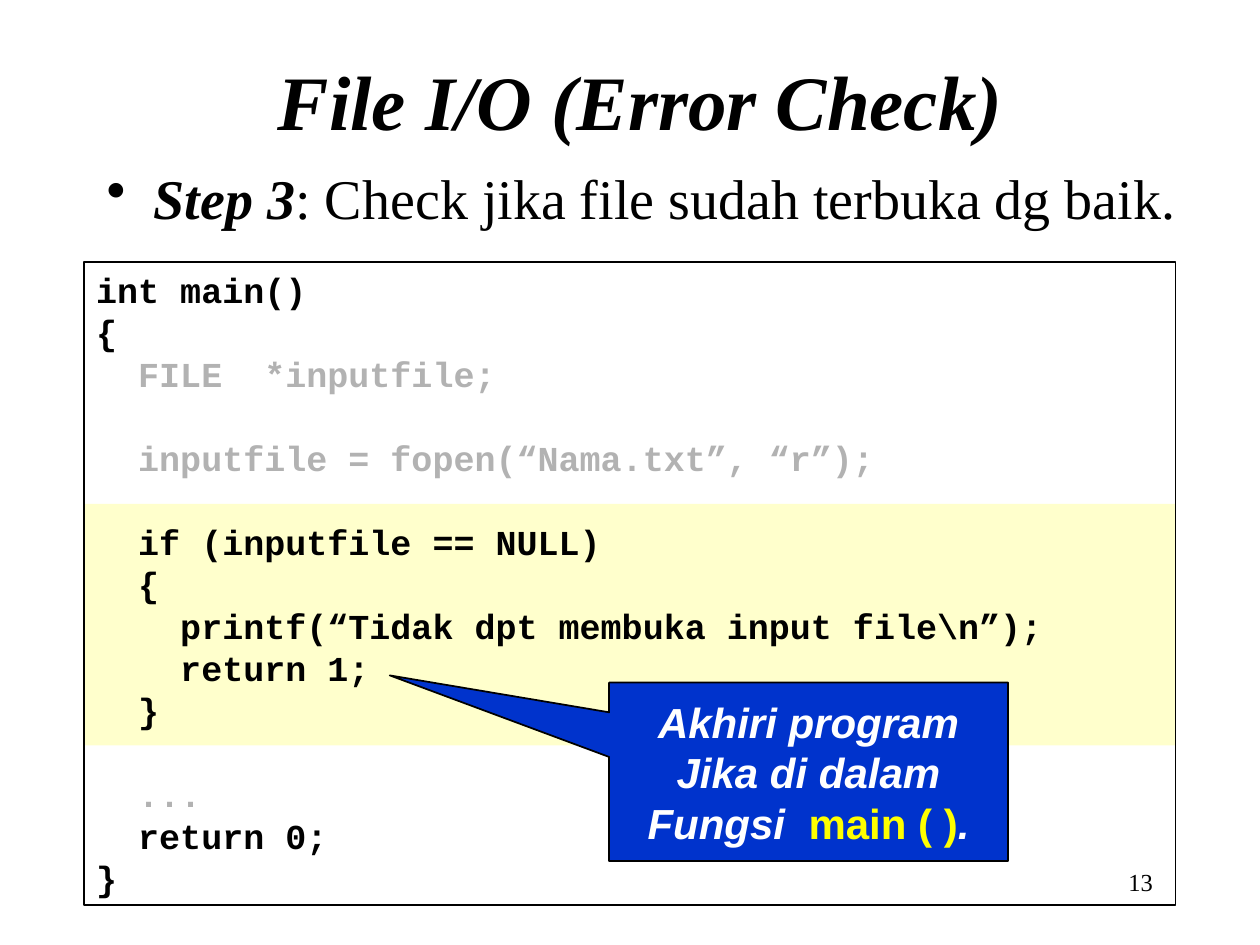
from pptx import Presentation
from pptx.dml.color import RGBColor
from pptx.enum.shapes import MSO_SHAPE
from pptx.enum.text import MSO_ANCHOR, PP_ALIGN
from pptx.oxml import parse_xml
from pptx.oxml.ns import nsdecls
from pptx.util import Cm, Pt

LEFT, CENTER, RIGHT = PP_ALIGN.LEFT, PP_ALIGN.CENTER, PP_ALIGN.RIGHT
TOP, MIDDLE = MSO_ANCHOR.TOP, MSO_ANCHOR.MIDDLE
RECTANGLE, CALLOUT = MSO_SHAPE.RECTANGLE, MSO_SHAPE.RECTANGULAR_CALLOUT

# Content: each line is a list of (text, style) spans
TITLE = [[("File I/O (Error Check)", "title")]]
STEP = [[("Step 3", "step"), (": Check jika file sudah terbuka dg baik.", "body")]]
CODE = [
    [("int main()", "code")],
    [("{", "code")],
    [("  FILE  *inputfile;", "dim_code")],
    [("", "code")],
    [("  inputfile = fopen(“Nama.txt”, “r”);", "dim_code")],
    [("  ", "code")],
    [("  if (inputfile == NULL)", "code")],
    [("  {", "code")],
    [("    printf(“Tidak dpt membuka input file\\n”);", "code")],
    [("    return 1;", "code")],
    [("  }", "code")],
    [("", "code")],
    [("  ...", "dim_code")],
    [("  return 0;", "code")],
    [("}", "code")],
]
NOTE = [
    [("Akhiri program", "note")],
    [("Jika di dalam", "note")],
    [("Fungsi  ", "note"), ("main ( )", "note_code"), (".", "note")],
]
NUMBER = [[("13", "number")]]

# Theme: colours and type
SERIF, MONO, SANS = "Times New Roman", "Courier New", "Arial"
THEME = {
    "colours": {"ink": "000000", "dim": "B2B2B2", "band": "FFFFCC",
                "blue": "0033CC", "white": "FFFFFF", "yellow": "FFFF00"},
    "line_pitch": 1.2,
    "styles": {  # font, size, colour, bold, italic
        "title": (SERIF, 44, "ink", True, True),
        "step": (SERIF, 32, "ink", True, True),
        "body": (SERIF, 32, "ink", False, False),
        "code": (MONO, 20, "ink", True, False),
        "dim_code": (MONO, 20, "dim", True, False),
        "note": (SANS, 24, "white", True, True),
        "note_code": (SANS, 24, "yellow", True, False),
        "number": (SERIF, 14, "ink", False, False),
    },
}

# Layout: left, top, width, height in cm
PANEL_LEFT, PANEL_WIDTH = 1.69, 22.01
PLACES = {
    "number": (18.2, 17.36, 5.29, 1.27),
    "band": (PANEL_LEFT, 10.16, PANEL_WIDTH, 4.87),
    "title": (2.12, 0.42, 21.59, 3.18),
    "step": (1.9, 3.18, 22.23, 1.69),
    "code": (PANEL_LEFT, 5.29, PANEL_WIDTH, 12.95),
    "note": (12.28, 13.76, 8.04, 3.6),
}
BULLET_INDENT = Cm(0.95)
POINTER = (-1.05, -0.54)


def colour(name):
    return RGBColor.from_string(THEME["colours"][name])


def place(name):
    return [Cm(length) for length in PLACES[name]]


def write(box, lines, align=LEFT, anchor=TOP, wrap=True):
    frame = box.text_frame
    frame.word_wrap, frame.vertical_anchor = wrap, anchor
    for index, line in enumerate(lines):
        para = frame.paragraphs[0] if index == 0 else frame.add_paragraph()
        size = THEME["styles"][line[0][1]][1]
        para.alignment = align
        para.line_spacing = Pt(size * THEME["line_pitch"])
        for text, style in line:
            span = para.add_run()
            span.text = text
            family, size, ink, bold, italic = THEME["styles"][style]
            formats = {"name": family, "size": Pt(size), "bold": bold, "italic": italic}
            for key, value in formats.items():
                setattr(span.font, key, value)
            span.font.color.rgb = colour(ink)


def add_text(page, name, lines, **options):
    box = page.shapes.add_textbox(*place(name))
    write(box, lines, **options)
    return box


def add_block(page, name, kind=RECTANGLE, fill=None, outline=None):
    box = page.shapes.add_shape(kind, *place(name))
    box.shadow.inherit = False
    if fill:
        box.fill.solid()
        box.fill.fore_color.rgb = colour(fill)
    else:
        box.fill.background()
    if outline:
        box.line.color.rgb = colour(outline)
        box.line.width = Pt(1)
    else:
        box.line.fill.background()
    return box


def add_bullet(para):
    props = para._p.get_or_add_pPr()
    props.set("marL", str(BULLET_INDENT))
    props.set("indent", str(-BULLET_INDENT))
    props.append(parse_xml(f'<a:buChar {nsdecls("a")} char="•"/>'))


def main():
    deck = Presentation()
    deck.slide_width, deck.slide_height = Cm(25.4), Cm(19.05)
    page = deck.slides.add_slide(deck.slide_layouts[6])

    # Page number and highlight behind the code
    add_text(page, "number", NUMBER, align=RIGHT)
    add_block(page, "band", fill="band")

    # Title and step
    add_text(page, "title", TITLE, align=CENTER, anchor=MIDDLE)
    step = add_text(page, "step", STEP)
    add_bullet(step.text_frame.paragraphs[0])

    # Code panel
    write(add_block(page, "code", outline="ink"), CODE)

    # Callout pointing at the return statement
    note = add_block(page, "note", CALLOUT, fill="blue", outline="ink")
    for index, offset in enumerate(POINTER):
        note.adjustments[index] = offset
    write(note, NOTE, align=CENTER, anchor=MIDDLE, wrap=False)

    deck.save("out.pptx")


if __name__ == "__main__":
    main()
